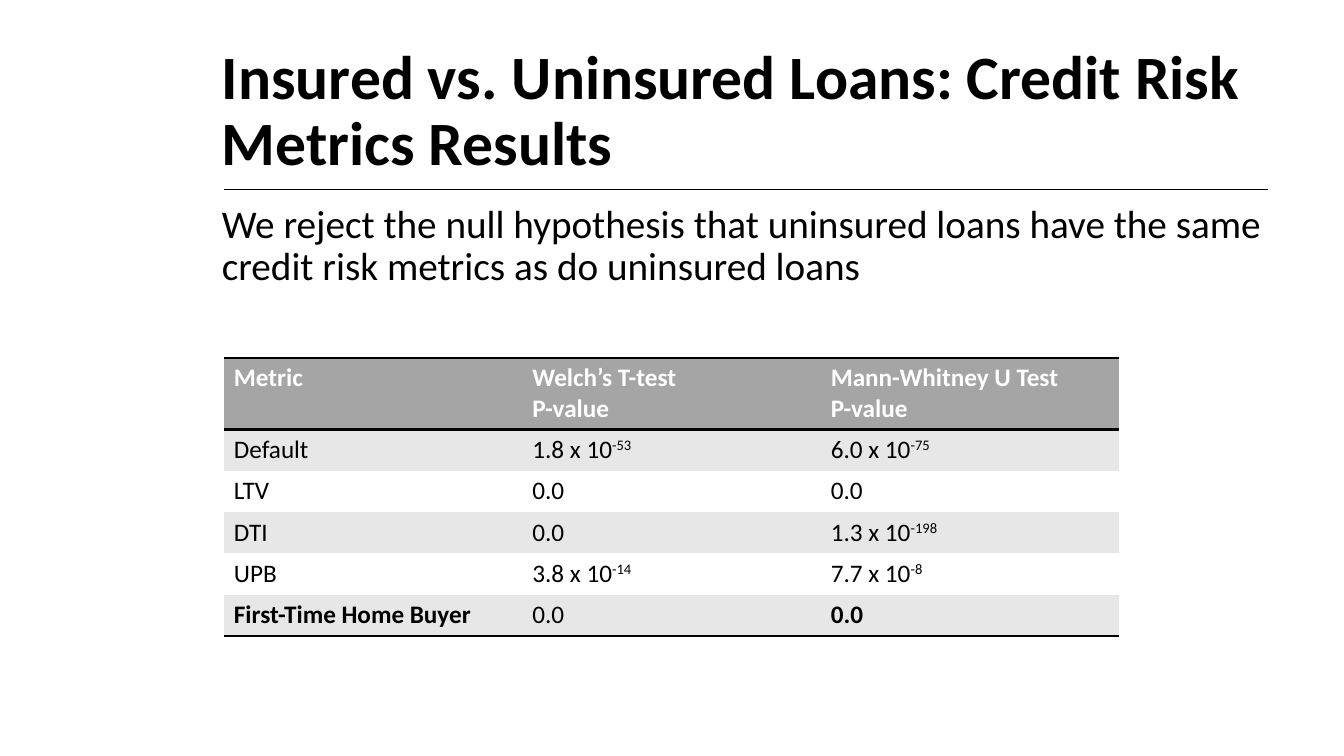
from dataclasses import dataclass
from lxml.etree import SubElement
from pptx import Presentation
from pptx.dml.color import RGBColor
from pptx.enum.shapes import MSO_CONNECTOR
from pptx.enum.text import MSO_ANCHOR, MSO_AUTO_SIZE, PP_ALIGN
from pptx.oxml.ns import qn
from pptx.util import Pt

TITLE = "Insured vs. Uninsured Loans: Credit Risk Metrics Results"
BODY = ("We reject the null hypothesis that uninsured loans have the same "
        "credit risk metrics as do uninsured loans")
HEAD = ["Metric", "Welch’s T-test\nP-value", "Mann-Whitney U Test\nP-value"]
ROWS = [
    ["Default", "1.8 x 10^-53", "6.0 x 10^-75"],
    ["LTV", "0.0", "0.0"],
    ["DTI", "0.0", "1.3 x 10^-198"],
    ["UPB", "3.8 x 10^-14", "7.7 x 10^-8"],
    ["First-Time Home Buyer", "0.0", "0.0"],
]
STRONG = {(0, 0), (0, 1), (0, 2), (5, 0), (5, 2)}


@dataclass(frozen=True)
class Theme:
    font: str = "Calibri"
    ink: str = "000000"
    paper: str = "FFFFFF"
    head: str = "A5A5A5"
    band: str = "E7E7E7"
    title: int = 44
    body: int = 28
    cell: int = 18


THEME = Theme()
PLAIN = "{2D5ABB26-0587-4C30-8999-92F81FD0307C}"
LEFT, WIDE, RULE = 222, 1036, 188
HOLD_LEFT, HOLD_WIDE = 210, 1080
GRID_TOP, COL, HEAD_ROW, ROW = 355, 296, 71, 41


def px(size):
    return size * 9144


def color(code):
    return RGBColor.from_string(code)


def write(frame, text, size, ink=THEME.ink, bold=False, space=None):
    for n, line in enumerate(text.split("\n")):
        para = frame.add_paragraph() if n else frame.paragraphs[0]
        para.alignment = PP_ALIGN.LEFT
        para.space_before = Pt(0)
        if space:
            para.line_spacing = space
        for k, part in enumerate(line.split("^")):
            run = para.add_run()
            run.text = part
            font = run.font
            font.name, font.size, font.bold = THEME.font, Pt(size), bold
            font.color.rgb = color(ink)
            if k:
                run._r.get_or_add_rPr().set("baseline", "30000")


def place(shape, top, high, anchor):
    shape.left, shape.top = px(HOLD_LEFT), px(top)
    shape.width, shape.height = px(HOLD_WIDE), px(high)
    frame = shape.text_frame
    frame.word_wrap = True
    frame.auto_size = MSO_AUTO_SIZE.NONE
    frame.vertical_anchor = anchor
    return frame


def edge(cell, side):
    line = SubElement(cell._tc.get_or_add_tcPr(), qn("a:ln" + side), w=str(Pt(2)))
    fill = SubElement(line, qn("a:solidFill"))
    SubElement(fill, qn("a:srgbClr"), val=THEME.ink)


def add_grid(slide):
    data = [HEAD] + ROWS
    high = HEAD_ROW + ROW * len(ROWS)
    table = slide.shapes.add_table(len(data), len(HEAD), px(LEFT), px(GRID_TOP),
                                   px(COL * len(HEAD)), px(high)).table
    table._tbl.tblPr.find(qn("a:tableStyleId")).text = PLAIN
    table.horz_banding = False
    for col in table.columns:
        col.width = px(COL)
    for r, line in enumerate(data):
        table.rows[r].height = px(ROW if r else HEAD_ROW)
        fill = (THEME.band if r % 2 else THEME.paper) if r else THEME.head
        for c, text in enumerate(line):
            cell = table.cell(r, c)
            if r == 0:
                edge(cell, "T")
            if r in (0, len(ROWS)):
                edge(cell, "B")
            cell.fill.solid()
            cell.fill.fore_color.rgb = color(fill)
            write(cell.text_frame, text, THEME.cell,
                  ink=THEME.ink if r else THEME.paper, bold=(r, c) in STRONG)


def main():
    deck = Presentation()
    deck.slide_width, deck.slide_height = px(1333), px(750)
    slide = deck.slides.add_slide(deck.slide_layouts[1])

    frame = place(slide.shapes.title, 39, 145, MSO_ANCHOR.MIDDLE)
    write(frame, TITLE, THEME.title, bold=True, space=0.9)

    frame = place(slide.placeholders[1], 198, 476, MSO_ANCHOR.TOP)
    props = frame.paragraphs[0]._p.get_or_add_pPr()
    props.set("marL", "0")
    props.set("indent", "0")
    SubElement(props, qn("a:buNone"))
    write(frame, BODY, THEME.body, space=0.9)

    add_grid(slide)

    rule = slide.shapes.add_connector(MSO_CONNECTOR.STRAIGHT, px(LEFT), px(RULE),
                                      px(LEFT + WIDE), px(RULE))
    rule.line.color.rgb = color(THEME.ink)
    rule.line.width = Pt(1)
    SubElement(rule._element.spPr, qn("a:effectLst"))

    deck.save("out.pptx")


if __name__ == "__main__":
    main()
